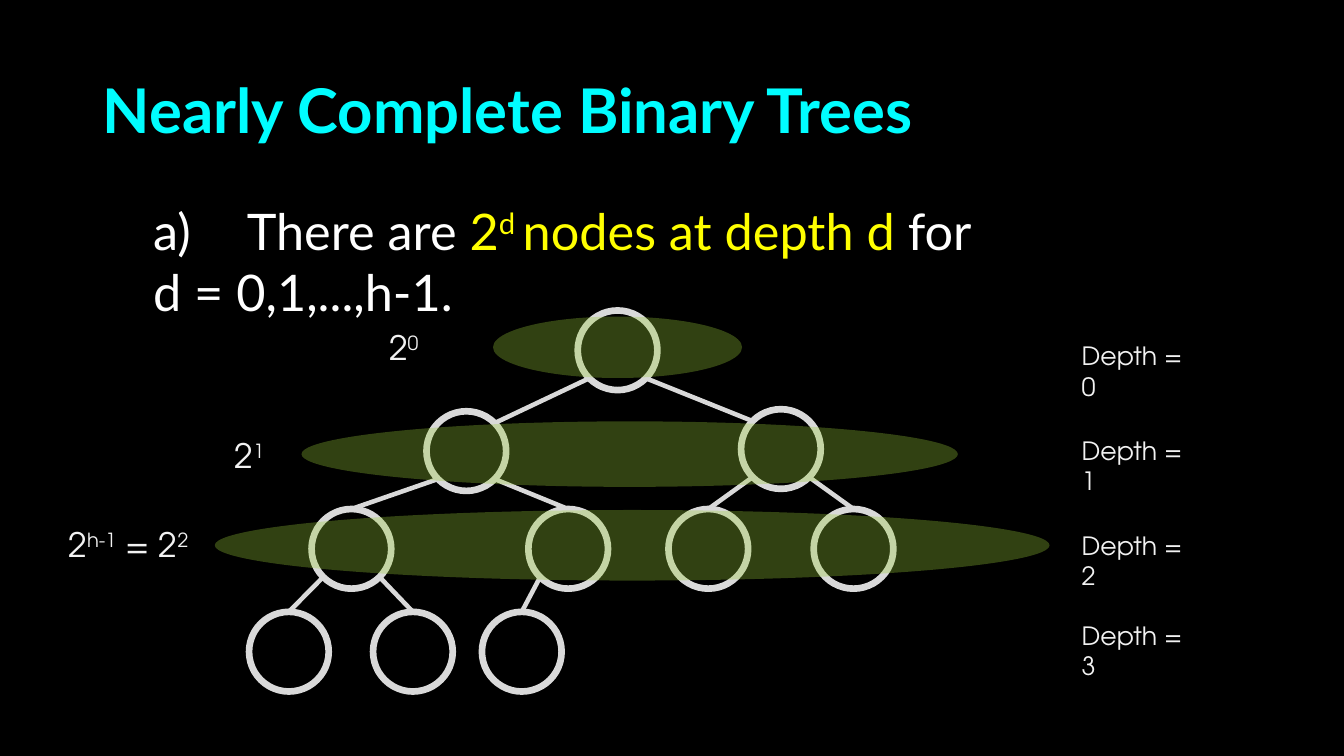
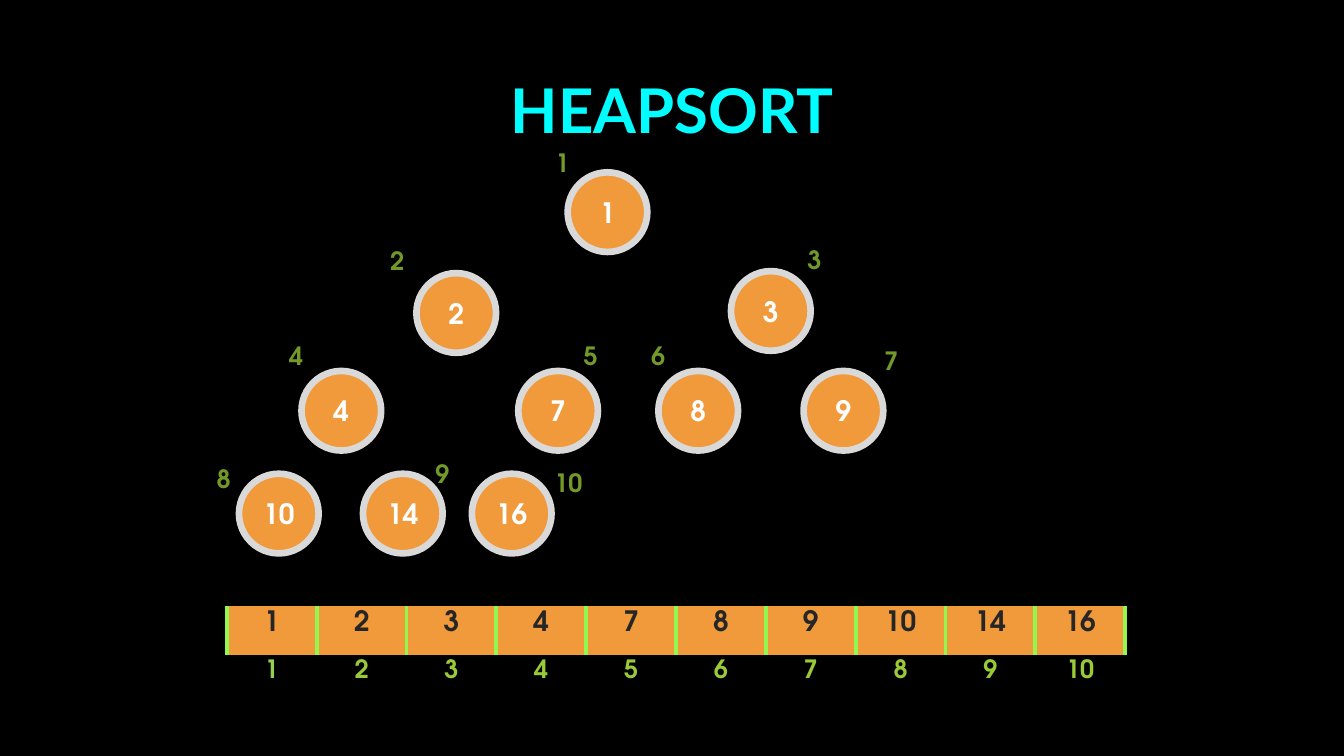
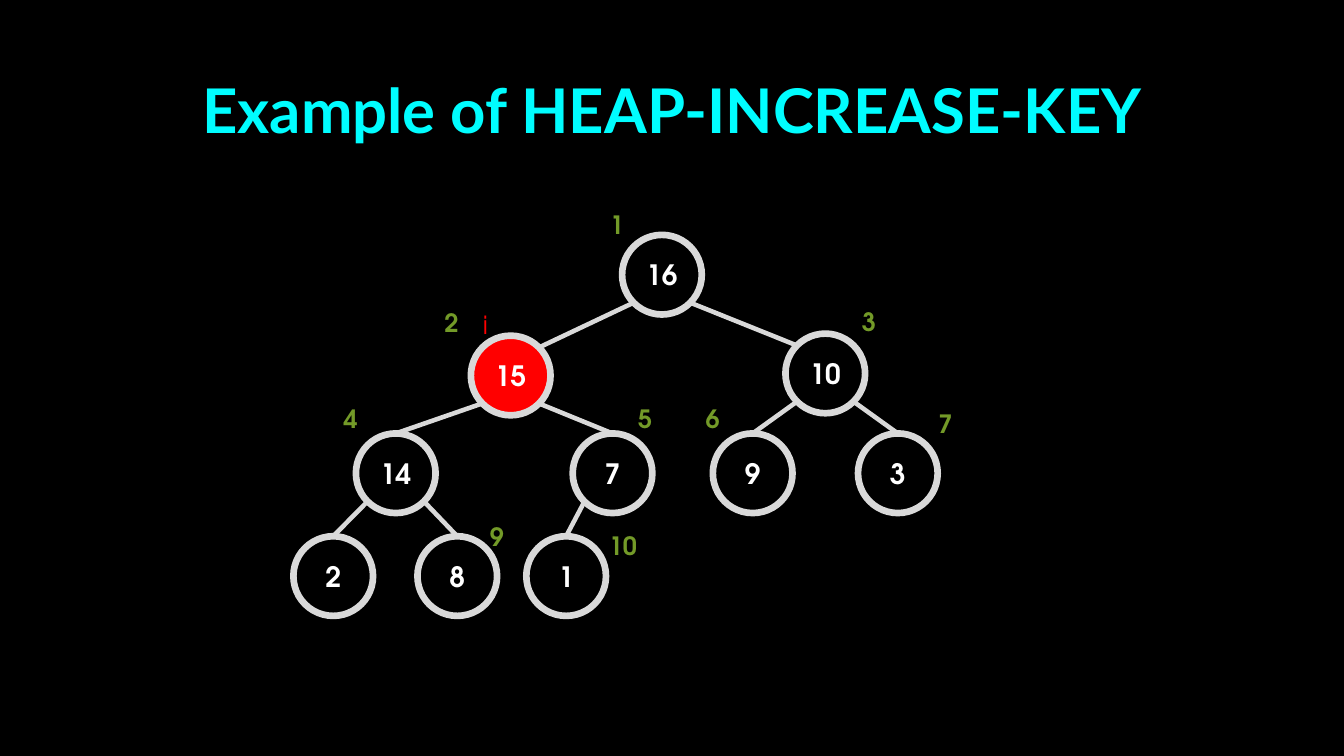
from lxml.etree import SubElement
from pptx import Presentation
from pptx.dml.color import RGBColor
from pptx.enum.shapes import MSO_CONNECTOR, MSO_SHAPE
from pptx.enum.text import MSO_ANCHOR, PP_ALIGN
from pptx.oxml.ns import qn
from pptx.util import Inches, Pt

BLACK = RGBColor(0x00, 0x00, 0x00)
WHITE = RGBColor(0xFF, 0xFF, 0xFF)
CYAN = RGBColor(0x00, 0xFD, 0xFF)
YELLOW = RGBColor(0xFF, 0xFF, 0x00)
RED = RGBColor(0xFF, 0x00, 0x00)
ORANGE = RGBColor(0xF0, 0x9A, 0x3C)
RIM = RGBColor(0xD9, 0xD9, 0xD9)
PALE = RGBColor(0xF2, 0xF2, 0xF2)
INK = RGBColor(0x26, 0x26, 0x26)
LEAF = RGBColor(0x99, 0xCB, 0x38)
FIRST_LEAF = RGBColor(0x92, 0xD0, 0x50)
MOSS = RGBColor(0x73, 0x9A, 0x28)
LIME = RGBColor(0x92, 0xF8, 0x50)
HEAD_FONT = "Lato"
TREE_FONT = "TeX Gyre Adventor"

NODE_SIZE = 0.79
NEAR, FAR = 0.12, 0.67
NODE_OFFSETS = {
    1: (0, 0), 2: (-1.5, 1), 3: (1.62, 0.98),
    4: (-2.64, 1.97), 5: (-0.49, 1.97), 6: (0.9, 1.97), 7: (2.34, 1.97),
    8: (-3.26, 2.99), 9: (-2.03, 2.99), 10: (-0.95, 2.99),
}
INDEX_OFFSETS = {
    1: (-0.22, -0.3), 2: (-1.86, 0.67), 3: (2.28, 0.66),
    4: (-2.86, 1.62), 5: (0.06, 1.62), 6: (0.73, 1.62), 7: (3.04, 1.67),
    8: (-3.58, 2.84), 9: (-1.41, 2.79), 10: (-0.23, 2.88),
}

STATEMENT = [
    [("There are ", {}), ("2", {"color": YELLOW}),
     ("d ", {"color": YELLOW, "raised": True}),
     ("nodes at depth d ", {"color": YELLOW}), ("for", {})],
    "d = 0,1,...,h-1.",
]
UP = {"raised": True}
LEVELS = [
    ((4.89, 3.14, 2.47, 0.61), (3.76, 3.19), [("2", {}), ("0", UP)]),
    ((2.99, 4.18, 6.51, 0.65), (2.23, 4.27), [("2", {}), ("1", UP)]),
    ((2.13, 5.06, 8.28, 0.7), (0.58, 5.15),
     [("2", {}), ("h-1", UP), (" = 2", {}), ("2", UP)]),
]
DEPTH_TOPS = [3.33, 4.27, 5.21, 6.1]
SORTED_KEYS = [1, 2, 3, 4, 7, 8, 9, 10, 14, 16]
HEAP_KEYS = [16, 15, 10, 14, 7, 9, 3, 2, 8, 1]


def write(frame, paragraphs, font=TREE_FONT, size=18, color=WHITE, bold=False,
          align=PP_ALIGN.LEFT, spacing=None, gap=0):
    """Fill a text frame with paragraphs, each a string or a list of spans."""
    for number, content in enumerate(paragraphs):
        para = frame.add_paragraph() if number else frame.paragraphs[0]
        para.alignment = align
        if spacing:
            para.line_spacing = spacing
        if number and gap:
            para.space_before = Pt(gap)
        spans = [(content, {})] if isinstance(content, str) else content
        for words, change in spans:
            span = para.add_run()
            span.text = words
            span.font.name = font
            span.font.size = Pt(size)
            span.font.bold = bold
            span.font.color.rgb = change.get("color", color)
            if change.get("raised"):
                span.font._element.set("baseline", "30000")


def add_text(slide, place, paragraphs, wrap=False, anchor=MSO_ANCHOR.TOP, **style):
    """Add a text box at left, top, width, height."""
    box = slide.shapes.add_textbox(*map(Inches, place))
    box.text_frame.word_wrap = wrap
    box.text_frame.vertical_anchor = anchor
    write(box.text_frame, paragraphs, **style)
    return box


def start_slide(deck, title, align=PP_ALIGN.CENTER):
    """Add a slide with its title."""
    slide = deck.slides.add_slide(deck.slide_layouts[6])
    add_text(slide, (0.92, 0.4, 11.5, 1.45), [title], wrap=True,
             anchor=MSO_ANCHOR.MIDDLE, font=HEAD_FONT, size=44, color=CYAN,
             bold=True, align=align, spacing=0.9)
    return slide


def add_ellipse(slide, place, fill=None, rim=None):
    """Add an ellipse with an optional fill and rim."""
    oval = slide.shapes.add_shape(MSO_SHAPE.OVAL, *map(Inches, place))
    oval.shadow.inherit = False
    if fill is None:
        oval.fill.background()
    else:
        oval.fill.solid()
        oval.fill.fore_color.rgb = fill
    if rim is None:
        oval.line.fill.background()
    else:
        oval.line.color.rgb = rim
        oval.line.width = Pt(4.75)
    return oval


def add_edge(slide, spots, child):
    """Join a node to its parent, which sits at half its index."""
    (parent_x, parent_y), (child_x, child_y) = spots[child // 2], spots[child]
    is_left = child % 2 == 0
    start = parent_x + (NEAR if is_left else FAR), parent_y + FAR
    if child // 2 == 1:
        end = child_x + (FAR if is_left else NEAR), child_y + NEAR
    else:
        end = child_x + NODE_SIZE / 2, child_y
    edge = slide.shapes.add_connector(MSO_CONNECTOR.STRAIGHT,
                                      *map(Inches, start + end))
    edge.line.color.rgb = RIM
    edge.line.width = Pt(3.25)
    SubElement(edge._element.spPr, qn("a:effectLst"))


def add_tree(slide, left, top, keys=None, fill=None, fills=None, edges=True, indices=()):
    """Draw the ten-node tree with its root at left, top."""
    spots = {node: (left + x, top + y) for node, (x, y) in NODE_OFFSETS.items()}
    if edges:
        for child in range(2, len(spots) + 1):
            add_edge(slide, spots, child)
    for node, spot in spots.items():
        oval = add_ellipse(slide, (*spot, NODE_SIZE, NODE_SIZE),
                           (fills or {}).get(node, fill), RIM)
        if keys:
            frame = oval.text_frame
            frame.word_wrap = False
            frame.margin_left = frame.margin_right = 0
            frame.vertical_anchor = MSO_ANCHOR.MIDDLE
            write(frame, [str(keys[node - 1])], size=20, bold=True, align=PP_ALIGN.CENTER)
    for node in indices:
        x, y = INDEX_OFFSETS[node]
        add_text(slide, (left + x, top + y, 0.34 if node < 10 else 0.49, 0.4),
                 [str(node)], color=MOSS, bold=True)


def set_borders(cell, side_color):
    """Colour the left and right borders, or clear them, and clear the rest."""
    properties = cell._tc.get_or_add_tcPr()
    for side in ("lnL", "lnR", "lnT", "lnB"):
        line = SubElement(properties, qn(f"a:{side}"))
        if side_color and side in ("lnL", "lnR"):
            line.set("w", str(Pt(3)))
            solid = SubElement(line, qn("a:solidFill"))
            SubElement(solid, qn("a:srgbClr")).set("val", str(side_color))
        else:
            SubElement(line, qn("a:noFill"))


def add_array(slide, keys):
    """Draw the keys as table cells above their indices."""
    count = len(keys)
    table = slide.shapes.add_table(2, count, Inches(2.25), Inches(6.01),
                                   Inches(8.91), Inches(0.98)).table
    table.first_row = table.horz_banding = False
    for column, key in enumerate(keys):
        index_color = LEAF if column else FIRST_LEAF
        rows = [(key, 20, INK, ORANGE, LIME), (column + 1, 18, index_color, BLACK, None)]
        for row, (value, size, color, fill, border) in enumerate(rows):
            cell = table.cell(row, column)
            set_borders(cell, border)
            cell.fill.solid()
            cell.fill.fore_color.rgb = fill
            write(cell.text_frame, [str(value)], size=size, color=color,
                  bold=True, align=PP_ALIGN.CENTER)


def build_levels(deck):
    """Build the slide that counts nodes at each depth."""
    slide = start_slide(deck, "Nearly Complete Binary Trees", PP_ALIGN.LEFT)
    body = add_text(slide, (0.92, 2, 11.5, 4.5), STATEMENT, wrap=True,
                    font=HEAD_FONT, size=36, spacing=0.9, gap=5)
    for para, margin, indent in zip(body.text_frame.paragraphs, (1.43, 0.5), (-0.93, 0)):
        properties = para._p.get_or_add_pPr()
        properties.set("marL", str(Inches(margin)))
        properties.set("indent", str(Inches(indent)))
        if indent:
            SubElement(properties, qn("a:buAutoNum")).set("type", "alphaLcParenR")
    add_tree(slide, 5.73, 3.08)
    for depth, top in enumerate(DEPTH_TOPS):
        add_text(slide, (10.63, top, 1.35, 0.4), [f"Depth = {depth}"], wrap=True, color=PALE)
    for band_place, (left, top), count in LEVELS:
        band = add_ellipse(slide, band_place, LEAF)
        tint = band._element.spPr.find(qn("a:solidFill"))[0]
        SubElement(tint, qn("a:alpha")).set("val", "32000")
        add_text(slide, (left, top, 0.51 if len(count) == 2 else 1.42, 0.5),
                 [count], size=24, color=PALE)


def build_heapsort(deck):
    """Build the slide with the sorted keys."""
    slide = start_slide(deck, "HEAPSORT")
    add_tree(slide, 5.63, 1.71, SORTED_KEYS, fill=ORANGE, edges=False, indices=INDEX_OFFSETS)
    add_array(slide, SORTED_KEYS)


def build_increase_key(deck):
    """Build the slide with the raised key."""
    slide = start_slide(deck, "Example of HEAP-INCREASE-KEY")
    add_tree(slide, 6.17, 2.33, HEAP_KEYS, fill=BLACK, fills={2: RED},
             indices=[node for node in INDEX_OFFSETS if node != 8])
    add_text(slide, (4.69, 3.02, 0.25, 0.4), ["i"], color=RED)


def main():
    """Build the deck and save it."""
    deck = Presentation()
    deck.slide_width, deck.slide_height = Inches(13.33), Inches(7.5)
    backdrop = deck.slide_master.background.fill
    backdrop.solid()
    backdrop.fore_color.rgb = BLACK
    build_levels(deck)
    build_heapsort(deck)
    build_increase_key(deck)
    deck.save("out.pptx")


if __name__ == "__main__":
    main()
